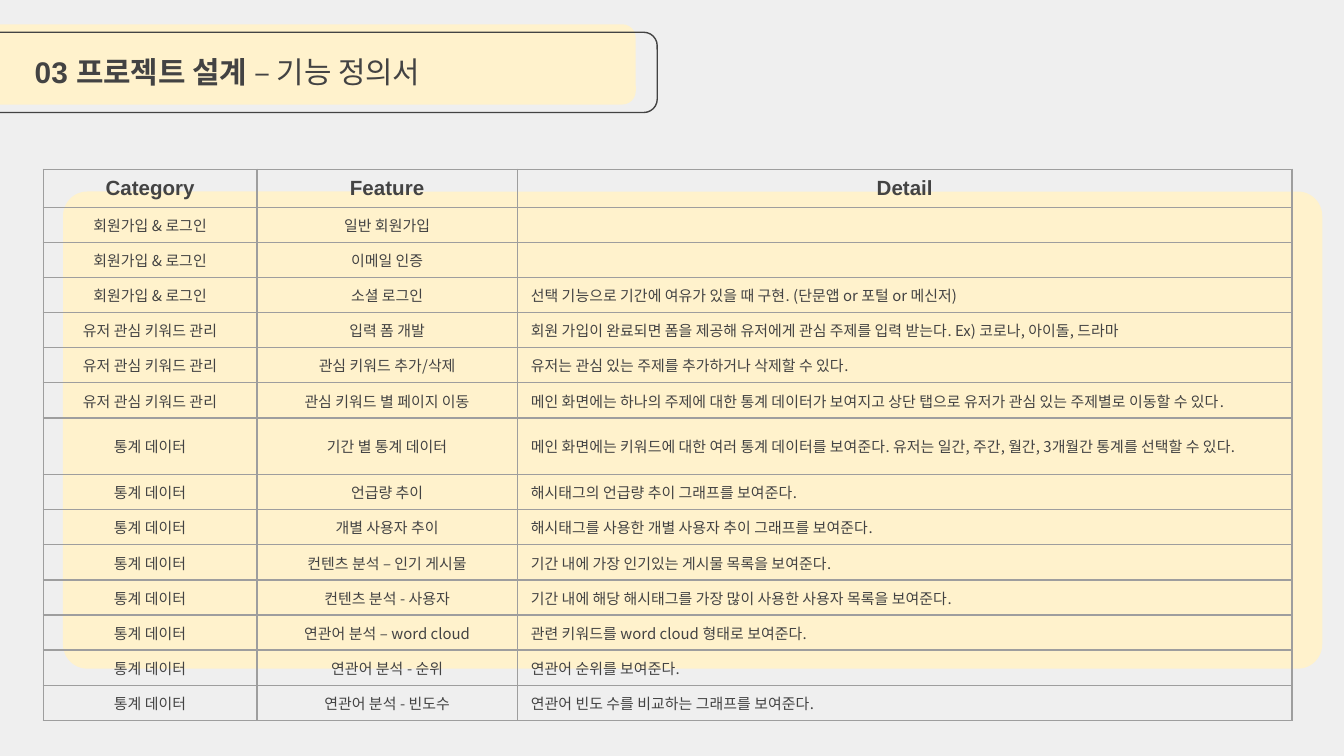
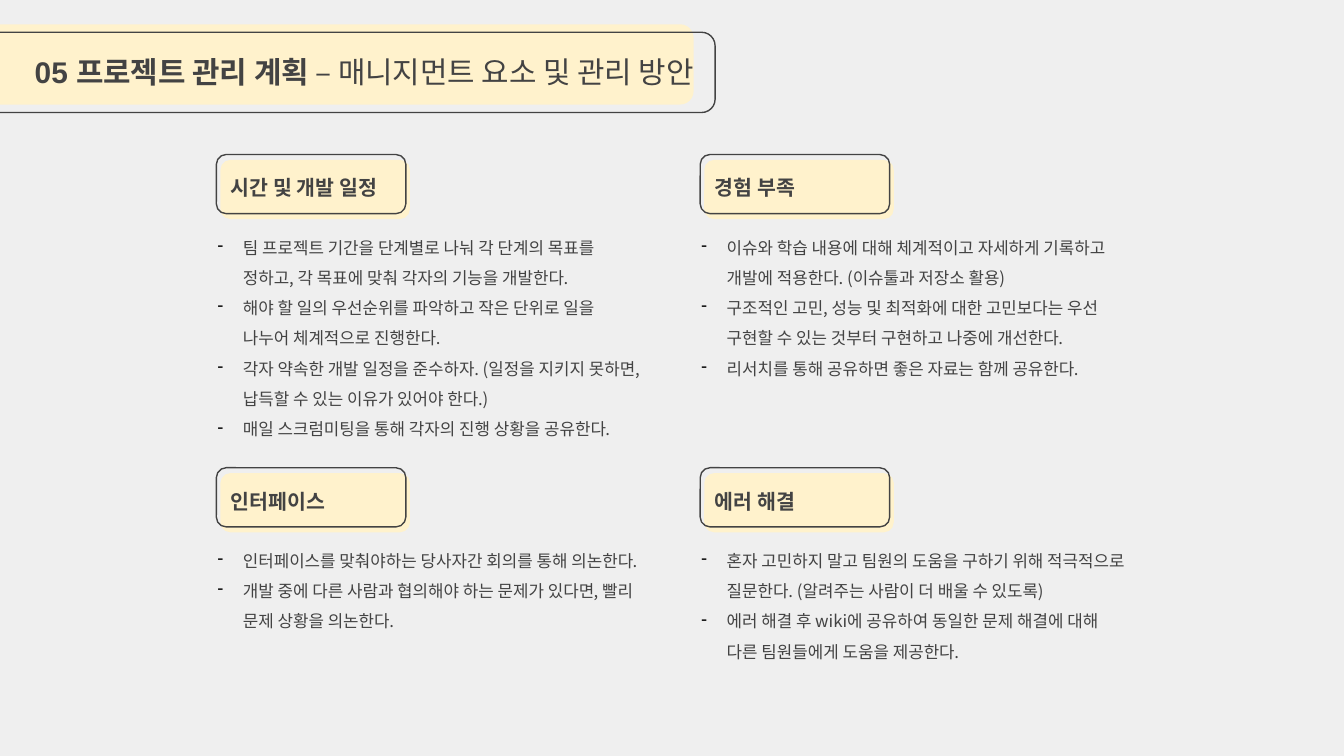
from lxml import etree
from pptx import Presentation
from pptx.dml.color import RGBColor
from pptx.enum.shapes import MSO_SHAPE
from pptx.enum.text import MSO_ANCHOR, PP_ALIGN
from pptx.oxml.ns import qn
from pptx.util import Pt

ROUNDED = MSO_SHAPE.ROUNDED_RECTANGLE
MIDDLE = MSO_ANCHOR.MIDDLE
BOTTOM = MSO_ANCHOR.BOTTOM
CENTER = PP_ALIGN.CENTER
LEFT = PP_ALIGN.LEFT

BACKGROUND = RGBColor(0xEF, 0xEF, 0xEF)
CREAM = RGBColor(0xFF, 0xF2, 0xCC)
INK = RGBColor(0x43, 0x43, 0x43)
GRID = RGBColor(0x9E, 0x9E, 0x9E)
BULLET = RGBColor(0, 0, 0)
HEADING_FONT = "Arial"
BODY_FONT = "Noto Sans CJK KR"


def add_panel(slide, left, top, width, height, radius=0.167, fill=None):
    shape = slide.shapes.add_shape(ROUNDED, Pt(left), Pt(top), Pt(width), Pt(height))
    shape.adjustments[0] = radius
    shape.shadow.inherit = False
    if fill is None:
        shape.fill.background()
        shape.line.color.rgb = INK
        shape.line.width = Pt(0.75)
    else:
        shape.fill.solid()
        shape.fill.fore_color.rgb = fill
        shape.line.fill.background()


def style_font(font, name, size, bold=False):
    font.name = name
    font.size = Pt(size)
    font.bold = bold
    font.color.rgb = INK


presentation = Presentation()
presentation.slide_width = Pt(720)
presentation.slide_height = Pt(405)
master_fill = presentation.slide_master.background.fill
master_fill.solid()
master_fill.fore_color.rgb = BACKGROUND

titles = [
    ("03 프로젝트 설계", " – 기능 정의서", 368.6),
    ("05 프로젝트 관리 계획", " – 매니지먼트 요소 및 관리 방안", 399.6),
]
slides = []
for title, subtitle, banner_width in titles:
    slide = presentation.slides.add_slide(presentation.slide_layouts[6])
    slides.append(slide)
    add_panel(slide, -28, 13, banner_width, 43, fill=CREAM)
    add_panel(slide, -16.5, 17.3, banner_width, 43)
    title_box = slide.shapes.add_textbox(Pt(11.5), Pt(25.2), Pt(420), Pt(38))
    title_box.text_frame.word_wrap = True
    paragraph = title_box.text_frame.paragraphs[0]
    for text, bold in ((title, True), (subtitle, False)):
        run = paragraph.add_run()
        run.text = text
        style_font(run.font, HEADING_FONT, 16, bold)

feature_slide, plan_slide = slides

SIGNUP = "회원가입 & 로그인"
KEYWORDS = "유저 관심 키워드 관리"
STATISTICS = "통계 데이터"
features = [
    ("Category", "Feature", "Detail"),
    (SIGNUP, "일반 회원가입", ""),
    (SIGNUP, "이메일 인증", ""),
    (SIGNUP, "소셜 로그인", "선택 기능으로 기간에 여유가 있을 때 구현. (단문앱 or 포털 or 메신저)"),
    (KEYWORDS, "입력 폼 개발",
     "회원 가입이 완료되면 폼을 제공해 유저에게 관심 주제를 입력 받는다. Ex) 코로나, 아이돌, 드라마"),
    (KEYWORDS, "관심 키워드 추가/삭제", "유저는 관심 있는 주제를 추가하거나 삭제할 수 있다."),
    (KEYWORDS, "관심 키워드 별 페이지 이동",
     "메인 화면에는 하나의 주제에 대한 통계 데이터가 보여지고 상단 탭으로 유저가 관심 있는 주제별로 이동할 수 있다."),
    (STATISTICS, "기간 별 통계 데이터",
     "메인 화면에는 키워드에 대한 여러 통계 데이터를 보여준다. 유저는 일간, 주간, 월간, 3개월간 통계를 선택할 수 있다."),
    (STATISTICS, "언급량 추이", "해시태그의 언급량 추이 그래프를 보여준다."),
    (STATISTICS, "개별 사용자 추이", "해시태그를 사용한 개별 사용자 추이 그래프를 보여준다."),
    (STATISTICS, "컨텐츠 분석 – 인기 게시물", "기간 내에 가장 인기있는 게시물 목록을 보여준다."),
    (STATISTICS, "컨텐츠 분석 - 사용자", "기간 내에 해당 해시태그를 가장 많이 사용한 사용자 목록을 보여준다."),
    (STATISTICS, "연관어 분석 – word cloud", "관련 키워드를 word cloud 형태로 보여준다."),
    (STATISTICS, "연관어 분석 - 순위", "연관어 순위를 보여준다."),
    (STATISTICS, "연관어 분석 - 빈도수", "연관어 빈도 수를 비교하는 그래프를 보여준다."),
]
HEADER_ROW, TWO_LINE_ROW = 0, 7
row_heights = [18.8] * len(features)
row_heights[HEADER_ROW] = 19.3
row_heights[TWO_LINE_ROW] = 30.4
column_widths = [114.5, 139.5, 415]

add_panel(feature_slide, 33.8, 102.6, 674.6, 255.6, 0.051, CREAM)
table = feature_slide.shapes.add_table(
    len(features), len(column_widths), Pt(23.2), Pt(90.7),
    Pt(sum(column_widths)), Pt(sum(row_heights))).table
table.first_row = False
table.horz_banding = False
for column, width in zip(table.columns, column_widths):
    column.width = Pt(width)
for row_index, (row, height) in enumerate(zip(features, row_heights)):
    table.rows[row_index].height = Pt(height)
    is_header = row_index == HEADER_ROW
    for column_index, text in enumerate(row):
        cell = table.cell(row_index, column_index)
        cell.vertical_anchor = MIDDLE
        properties = cell._tc.get_or_add_tcPr()
        for side in ("a:lnL", "a:lnR", "a:lnT", "a:lnB"):
            border = etree.SubElement(properties, qn(side), w=str(Pt(0.75)))
            border_fill = etree.SubElement(border, qn("a:solidFill"))
            etree.SubElement(border_fill, qn("a:srgbClr"), val=str(GRID))
        cell.fill.background()
        paragraph = cell.text_frame.paragraphs[0]
        paragraph.alignment = CENTER if is_header or column_index < 2 else LEFT
        if is_header:
            style_font(paragraph.font, HEADING_FONT, 11, True)
        else:
            style_font(paragraph.font, BODY_FONT, 8)
        if text:
            paragraph.text = text
        else:
            paragraph._p.get_or_add_endParaRPr().set("sz", "800")

plans = [
    ("시간 및 개발 일정", [
        "팀 프로젝트 기간을 단계별로 나눠 각 단계의 목표를 정하고, 각 목표에 맞춰 각자의 기능을 개발한다.",
        "해야 할 일의 우선순위를 파악하고 작은 단위로 일을 나누어 체계적으로 진행한다.",
        "각자 약속한 개발 일정을 준수하자. (일정을 지키지 못하면, 납득할 수 있는 이유가 있어야 한다.)",
        "매일 스크럼미팅을 통해 각자의 진행 상황을 공유한다.",
    ]),
    ("경험 부족", [
        "이슈와 학습 내용에 대해 체계적이고 자세하게 기록하고 개발에 적용한다. (이슈툴과 저장소 활용)",
        "구조적인 고민, 성능 및 최적화에 대한 고민보다는 우선 구현할 수 있는 것부터 구현하고 나중에 개선한다.",
        "리서치를 통해 공유하면 좋은 자료는 함께 공유한다.",
    ]),
    ("인터페이스", [
        "인터페이스를 맞춰야하는 당사자간 회의를 통해 의논한다.",
        "개발 중에 다른 사람과 협의해야 하는 문제가 있다면, 빨리 문제 상황을 의논한다.",
    ]),
    ("에러 해결", [
        "혼자 고민하지 말고 팀원의 도움을 구하기 위해 적극적으로 질문한다. (알려주는 사람이 더 배울 수 있도록)",
        "에러 해결 후 wiki에 공유하여 동일한 문제 해결에 대해 다른 팀원들에게 도움을 제공한다.",
    ]),
]
for index, (heading, items) in enumerate(plans):
    left = 109.5 + index % 2 * 259.2
    top = 68.4 + index // 2 * 167.8
    add_panel(plan_slide, left + 8.6, top + 17.3, 101.5, 31.7, fill=CREAM)
    add_panel(plan_slide, left + 6.4, top + 14.4, 101.5, 31.7)
    heading_box = plan_slide.shapes.add_textbox(Pt(left + 7.1), Pt(top), Pt(119.5), Pt(45.4))
    items_box = plan_slide.shapes.add_textbox(Pt(left), Pt(top + 46.1), Pt(241.2), Pt(105.1))
    for box in (heading_box, items_box):
        frame = box.text_frame
        frame.word_wrap = True
        frame.margin_left = frame.margin_right = Pt(7.2)
        frame.margin_top = frame.margin_bottom = Pt(7.2)
    heading_box.text_frame.vertical_anchor = BOTTOM
    paragraph = heading_box.text_frame.paragraphs[0]
    paragraph.text = heading
    style_font(paragraph.font, HEADING_FONT, 11, True)
    items_box.text_frame.text = "\n".join(items)
    for paragraph in items_box.text_frame.paragraphs:
        paragraph.line_spacing = 1.5
        properties = paragraph._p.get_or_add_pPr()
        properties.set("marL", str(Pt(13.5)))
        properties.set("indent", str(Pt(-13.5)))
        bullet_color = etree.SubElement(properties, qn("a:buClr"))
        etree.SubElement(bullet_color, qn("a:srgbClr"), val=str(BULLET))
        etree.SubElement(properties, qn("a:buChar"), char="-")
        style_font(paragraph.font, BODY_FONT, 9)

presentation.save("out.pptx")
